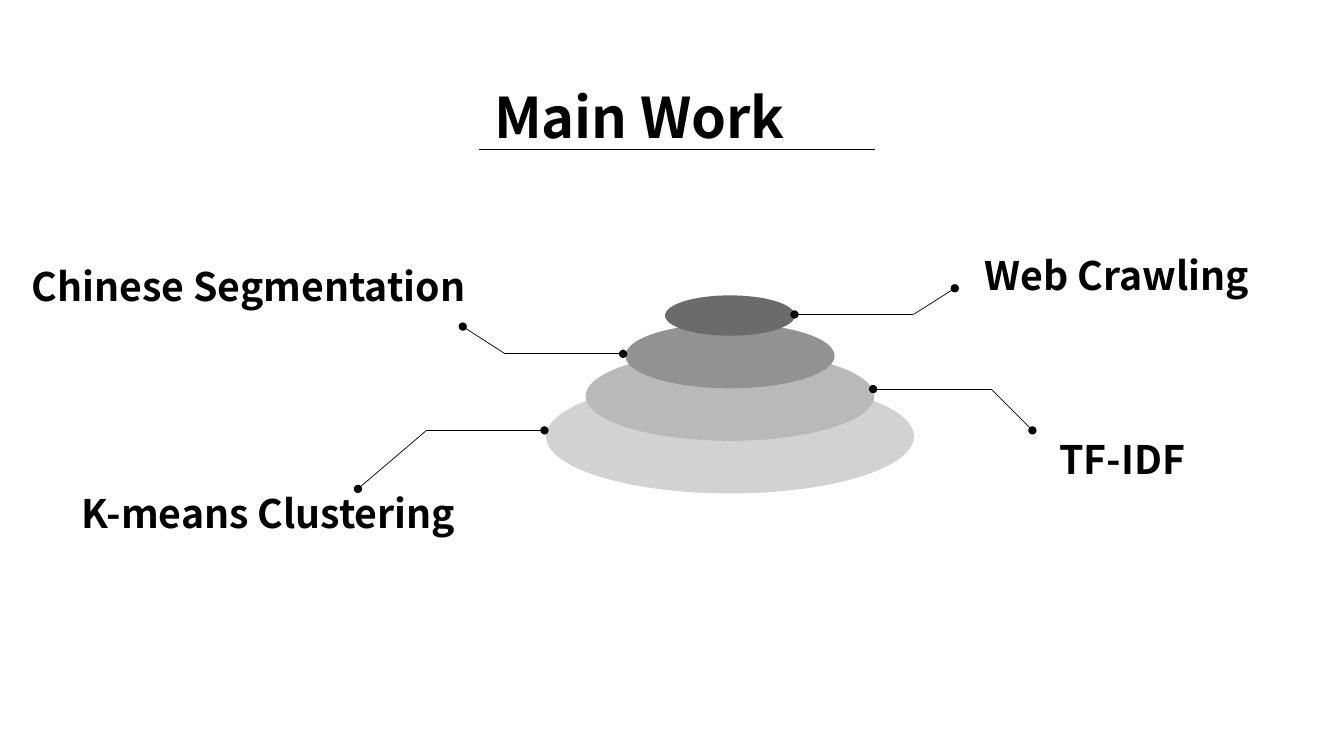
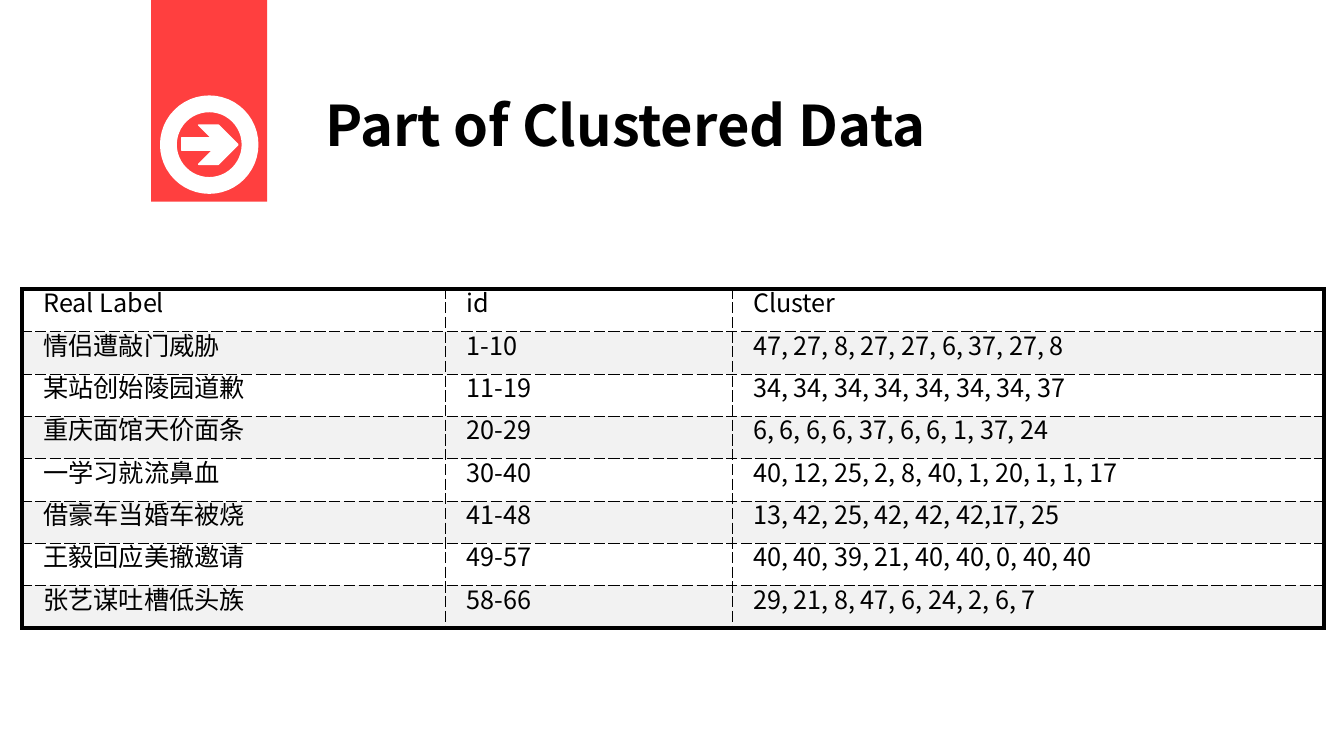
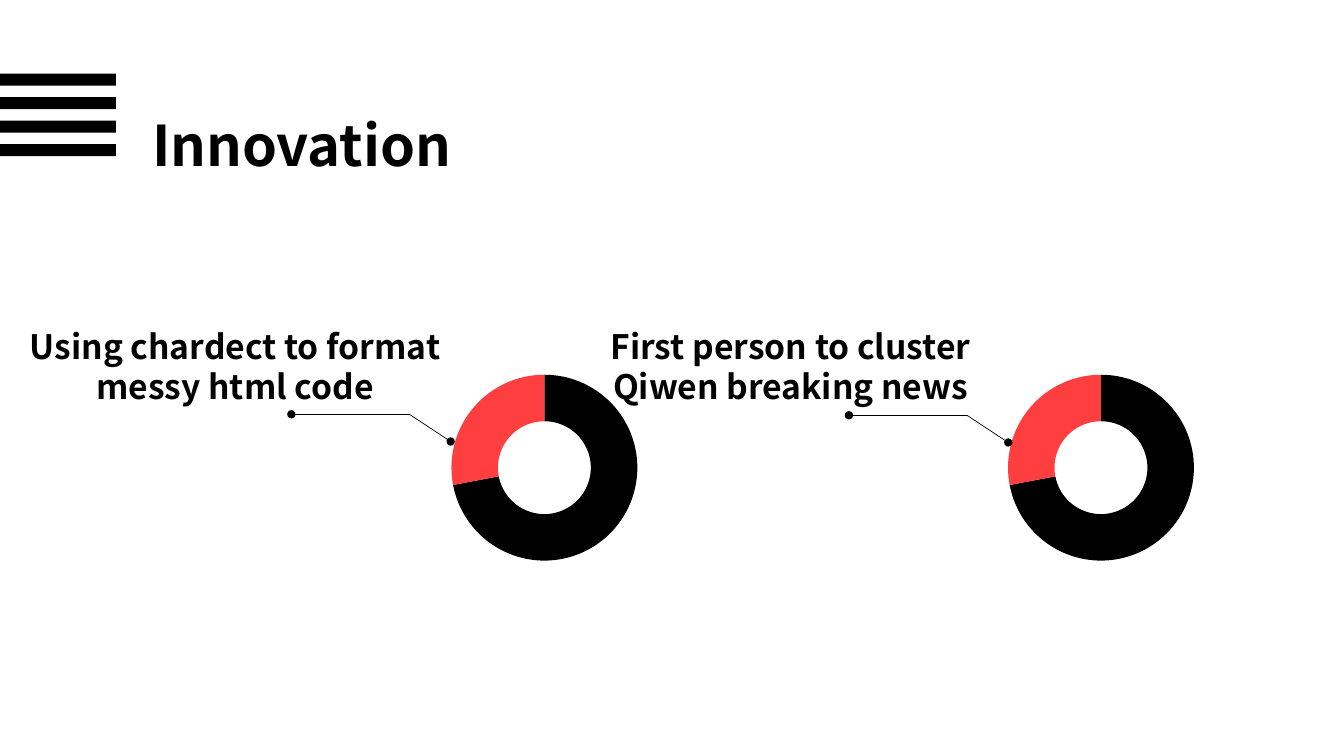
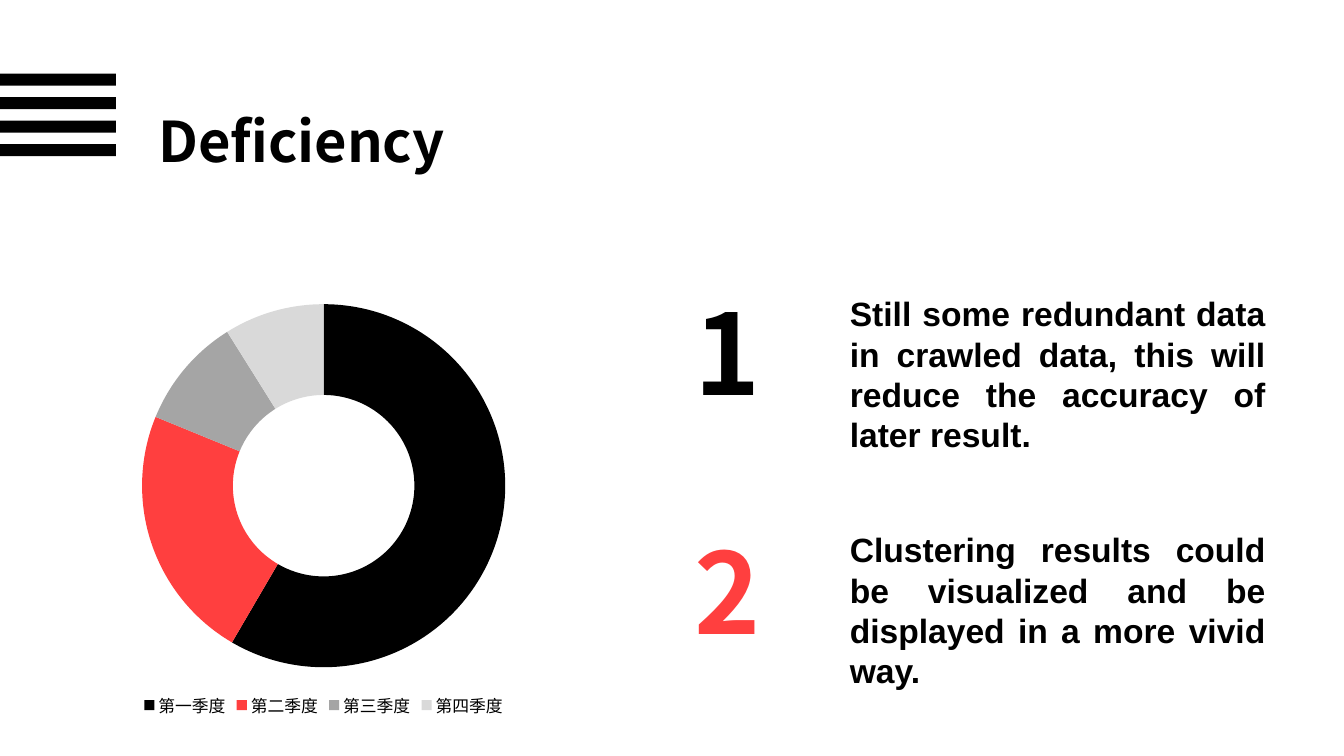
from pptx import Presentation
from pptx.chart.data import CategoryChartData
from pptx.dml.color import RGBColor
from pptx.enum.chart import XL_CHART_TYPE, XL_LEGEND_POSITION
from pptx.enum.shapes import MSO_CONNECTOR, MSO_SHAPE
from pptx.enum.text import MSO_ANCHOR, MSO_AUTO_SIZE, PP_ALIGN
from pptx.oxml.xmlchemy import OxmlElement
from pptx.util import Inches, Pt

BLACK, WHITE, RED, BAND = "000000", "FFFFFF", "FF3F3F", "F2F2F2"
FONT, BODY_FONT = "Noto Sans CJK SC", "Arial"
LEFT, RIGHT = PP_ALIGN.LEFT, PP_ALIGN.RIGHT
CENTER, JUSTIFY = PP_ALIGN.CENTER, PP_ALIGN.JUSTIFY

# Main work: discs from bottom to top, callouts as bend points, labels
DISC_COLORS = ["D2D2D2", "B9B9B9", "929292", "6B6B6B"]
WORK_CALLOUTS = [
    [(6.18, 3.51), (5.01, 3.51), (4.59, 3.24)],
    [(7.88, 3.12), (9.06, 3.12), (9.47, 2.86)],
    [(5.4, 4.27), (4.23, 4.27), (3.55, 4.85)],
    [(8.66, 3.86), (9.83, 3.86), (10.24, 4.27)],
]
WORK_LABELS = [
    ("Web Crawling", (9.67, 2.44, 3.04, 0.57), LEFT),
    ("TF-IDF", (10.41, 4.27, 2.1, 0.57), LEFT),
    ("Chinese Segmentation", (-0.04, 2.55, 4.75, 0.57), RIGHT),
    ("K-means Clustering", (-0.19, 4.81, 4.8, 0.57), RIGHT),
]

# Clustered data
CLUSTER_ROWS = [
    ("Real Label", "id", "Cluster"),
    ("情侣遭敲门威胁", "1-10", "47, 27, 8, 27, 27, 6, 37, 27, 8"),
    ("某站创始陵园道歉", "11-19", "34, 34, 34, 34, 34, 34, 34, 37"),
    ("重庆面馆天价面条", "20-29", "6, 6, 6, 6, 37, 6, 6, 1, 37, 24"),
    ("一学习就流鼻血", "30-40", "40, 12, 25, 2, 8, 40, 1, 20, 1, 1, 17"),
    ("借豪车当婚车被烧", "41-48", "13, 42, 25, 42, 42, 42,17, 25"),
    ("王毅回应美撤邀请", "49-57", "40, 40, 39, 21, 40, 40, 0, 40, 40"),
    ("张艺谋吐槽低头族", "58-66", "29, 21, 8, 47, 6, 24, 2, 6, 7"),
]
COL_WIDTHS = [4.2, 2.84, 5.87]
ROW_HEIGHT = 0.42

# Innovation: text, text left, chart left, callout start
INNOVATIONS = [
    ("Using chardect to format messy html code", 0.17, 3.81, (2.89, 4.11)),
    ("First person to cluster Qiwen breaking news", 5.68, 9.33, (8.42, 4.12)),
]
SHARES = [("1", 72, BLACK), ("2", 28, RED)]

# Deficiency
QUARTERS = [("第一季度", 59, BLACK), ("第二季度", 23, RED),
            ("第三季度", 10, "A5A5A5"), ("第四季度", 9, "D9D9D9")]
# number, colour, number top, text top, text
DEFICIENCIES = [
    ("1", BLACK, 2.76, 2.86, "Still some redundant data in crawled data, "
     "this will reduce the accuracy of later result."),
    ("2", RED, 5.13, 5.2, "Clustering results could be visualized and be "
     "displayed in a more vivid way."),
]


def rgb(color):
    """Turn a hex string into a colour."""
    return RGBColor.from_string(color)


def inches(values):
    """Convert a sequence of numbers to lengths."""
    return [Inches(v) for v in values]


def style_font(font, size, color=BLACK, bold=False, name=FONT):
    """Set size, colour, weight and typeface, East Asian included."""
    font.size, font.bold, font.name = Pt(size), bold, name
    font.color.rgb = rgb(color)
    ea = OxmlElement("a:ea")
    ea.set("typeface", name)
    font._element.append(ea)


def add_text(slide, text, box, size, align=LEFT, color=BLACK, name=FONT,
             wrap=True):
    """Add a bold one-paragraph text box and return its text frame."""
    tf = slide.shapes.add_textbox(*inches(box)).text_frame
    tf.word_wrap, tf.auto_size = wrap, MSO_AUTO_SIZE.SHAPE_TO_FIT_TEXT
    p = tf.paragraphs[0]
    p.text, p.alignment = text, align
    style_font(p.font, size, color, True, name)
    return tf


def add_title(slide, text, box, indent=0.1):
    """Add a spaced title centred vertically in its box."""
    tf = add_text(slide, text, box, 40, JUSTIFY)
    tf.vertical_anchor, tf.margin_left = MSO_ANCHOR.MIDDLE, Inches(indent)
    tf.paragraphs[0].line_spacing = 1.5


def add_shape(slide, kind, box, fill=None, line=None, width=1):
    """Add a flat preset shape."""
    sp = slide.shapes.add_shape(kind, *inches(box))
    sp.shadow.inherit = False
    if fill:
        sp.fill.solid()
        sp.fill.fore_color.rgb = rgb(fill)
    else:
        sp.fill.background()
    if line:
        sp.line.color.rgb, sp.line.width = rgb(line), Pt(width)
    else:
        sp.line.fill.background()


def add_line(slide, start, end, dot=None):
    """Add a thin line; dot is headEnd or tailEnd, or None."""
    cxn = slide.shapes.add_connector(MSO_CONNECTOR.STRAIGHT,
                                     *inches(start + end))
    cxn.line.color.rgb, cxn.line.width = rgb(BLACK), Pt(0.5)
    if dot:
        oval = OxmlElement("a:" + dot)
        oval.set("type", "oval")
        cxn.line._get_or_add_ln().append(oval)
    cxn._element.spPr.append(OxmlElement("a:effectLst"))


def add_callout(slide, start, bend, end):
    """Add a bent line with a dot at each end."""
    add_line(slide, start, bend, "headEnd")
    add_line(slide, bend, end, "tailEnd")


def add_stripes(slide):
    """Add the four bars at the left edge."""
    for i in range(4):
        add_shape(slide, MSO_SHAPE.RECTANGLE,
                  (0, 0.73 + i * 0.7 / 3, 1.15, 0.12), BLACK)


def add_doughnut(slide, parts, box, hole, legend=False):
    """Add a doughnut of (category, value, colour) parts."""
    data = CategoryChartData()
    data.categories = [category for category, _, _ in parts]
    data.add_series("Series 1", [value for _, value, _ in parts])
    chart = slide.shapes.add_chart(XL_CHART_TYPE.DOUGHNUT, *inches(box),
                                   data).chart
    chart.has_title, chart.has_legend = False, legend
    style_font(chart.font, 10)
    if legend:
        chart.legend.position = XL_LEGEND_POSITION.BOTTOM
        chart.legend.include_in_layout = False
        style_font(chart.legend.font, 12)
    chart._chartSpace.xpath(".//c:holeSize")[0].set("val", str(hole))
    for i, (_, _, color) in enumerate(parts):
        fmt = chart.plots[0].series[0].points[i].format
        fmt.fill.solid()
        fmt.fill.fore_color.rgb = rgb(color)
        fmt.line.fill.background()


def set_borders(cell, outer):
    """Draw solid heavy outer sides and dashed thin inner sides."""
    tc_pr = cell._tc.get_or_add_tcPr()
    for i, side in enumerate("LRTB"):
        ln = OxmlElement("a:ln" + side)
        ln.set("w", str(Pt(3 if side in outer else 0.5)))
        fill, color = OxmlElement("a:solidFill"), OxmlElement("a:srgbClr")
        color.set("val", BLACK)
        fill.append(color)
        dash = OxmlElement("a:prstDash")
        dash.set("val", "solid" if side in outer else "sysDash")
        ln.extend([fill, dash])
        tc_pr.insert(i, ln)


def add_cluster_table(slide):
    """Add the banded table of labels, ids and clusters."""
    n_rows, n_cols = len(CLUSTER_ROWS), len(COL_WIDTHS)
    box = (0.22, 2.87, sum(COL_WIDTHS), n_rows * ROW_HEIGHT)
    table = slide.shapes.add_table(n_rows, n_cols, *inches(box)).table
    table.first_row = table.horz_banding = False
    for col, width in zip(table.columns, COL_WIDTHS):
        col.width = Inches(width)
    for r, row in enumerate(CLUSTER_ROWS):
        for c, text in enumerate(row):
            cell = table.cell(r, c)
            cell.margin_left, cell.margin_right = Inches(0.21), Inches(0.07)
            cell.margin_top = cell.margin_bottom = 0
            p = cell.text_frame.paragraphs[0]
            p.text, p.line_spacing = text, Pt(22)
            style_font(p.font, 18)
            if r % 2:
                cell.fill.solid()
                cell.fill.fore_color.rgb = rgb(BAND)
            else:
                cell.fill.background()
            edges = {"L": c == 0, "R": c == n_cols - 1,
                     "T": r == 0, "B": r == n_rows - 1}
            set_borders(cell, [side for side, on in edges.items() if on])


def build_main_work(slide):
    """Stack of discs with four labelled callouts."""
    for i, color in enumerate(DISC_COLORS):
        width = 3.65 - 0.787 * i
        height = 0.31 * width
        add_shape(slide, MSO_SHAPE.OVAL,
                  (7.24 - width / 2, 4.33 - 0.4 * i - height / 2,
                   width, height), color)
    for points in WORK_CALLOUTS:
        add_callout(slide, *points)
    for text, box, align in WORK_LABELS:
        add_text(slide, text, box, 28, align)
    add_title(slide, "Main Work", (4.3, 0.49, 4.46, 0.99), 0.6)
    add_line(slide, (8.68, 1.48), (4.75, 1.48))


def build_clustered_data(slide):
    """Table under a red ribbon with an arrow badge."""
    add_cluster_table(slide)
    add_shape(slide, MSO_SHAPE.RECTANGLE, (1.5, 0, 1.15, 2), RED)
    add_shape(slide, MSO_SHAPE.RECTANGLE, (1.8, 1.37, 0.39, 0.12),
              WHITE, WHITE)
    add_shape(slide, MSO_SHAPE.CHEVRON, (1.97, 1.24, 0.39, 0.39),
              WHITE, WHITE)
    add_shape(slide, MSO_SHAPE.OVAL, (1.67, 1.03, 0.81, 0.81), None, WHITE, 12)
    add_text(slide, "Part of Clustered Data", (2.32, 0.85, 6.96, 0.77), 40,
             RIGHT)


def build_innovation(slide):
    """Two doughnuts, each with a callout and a text."""
    add_title(slide, "Innovation", (1.41, 0.72, 4.8, 1.09))
    add_stripes(slide)
    for text, text_left, chart_left, (x, y) in INNOVATIONS:
        add_doughnut(slide, SHARES, (chart_left, 3.58, 3.18, 2.12), 88)
        add_callout(slide, (x, y), (x + 1.17, y), (x + 1.58, y + 0.27))
        add_text(slide, text, (text_left, 3.18, 4.32, 0.91), 24, CENTER)


def build_deficiency(slide):
    """Doughnut with a legend beside two numbered points."""
    add_title(slide, "Deficiency", (1.47, 0.68, 4.8, 1.09))
    add_stripes(slide)
    add_doughnut(slide, QUARTERS, (0, 2.88, 6.42, 4.28), 75, True)
    for number, color, number_top, text_top, text in DEFICIENCIES:
        add_text(slide, number, (6.77, number_top, 0.89, 1.45), 80, CENTER,
                 color, wrap=False)
        add_text(slide, text, (8.33, text_top, 4.32, 1.31), 24, JUSTIFY,
                 name=BODY_FONT)


prs = Presentation()
prs.slide_width, prs.slide_height = Inches(13.33), Inches(7.5)
for build in (build_main_work, build_clustered_data, build_innovation,
              build_deficiency):
    build(prs.slides.add_slide(prs.slide_layouts[6]))
prs.save("out.pptx")
